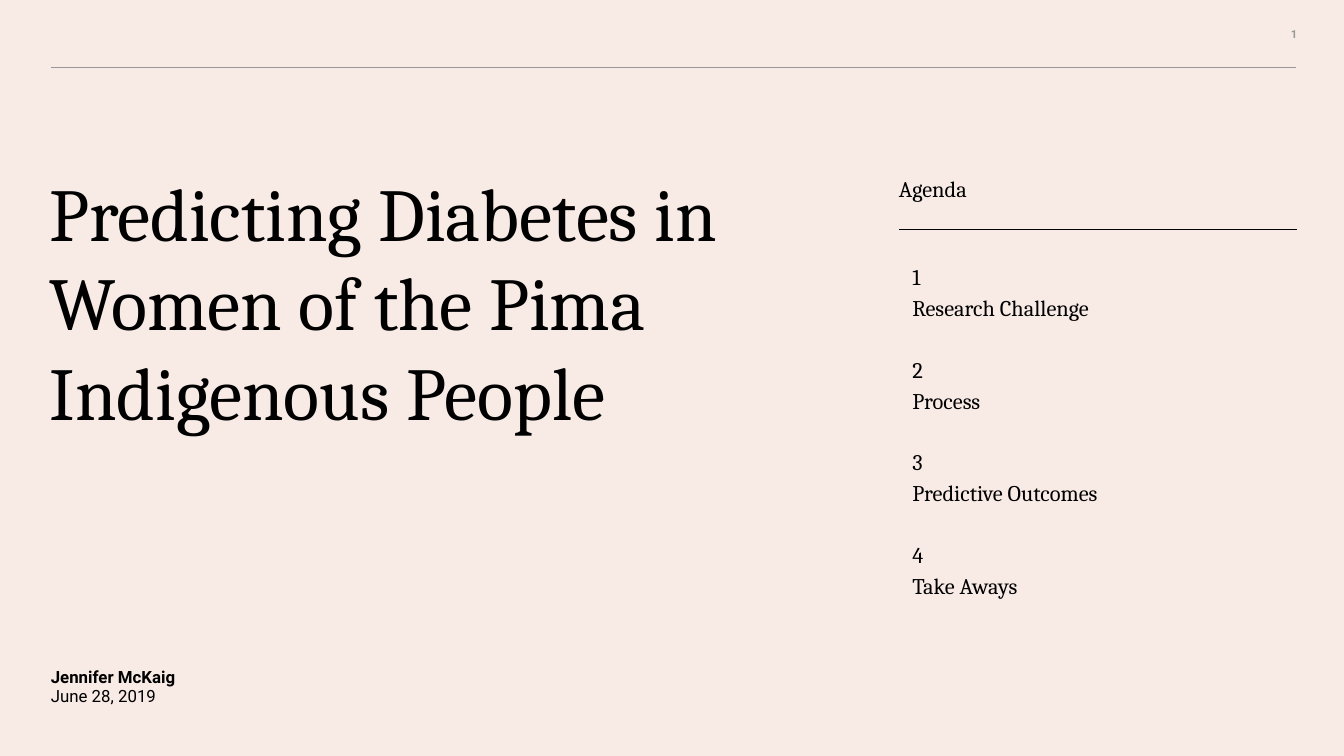
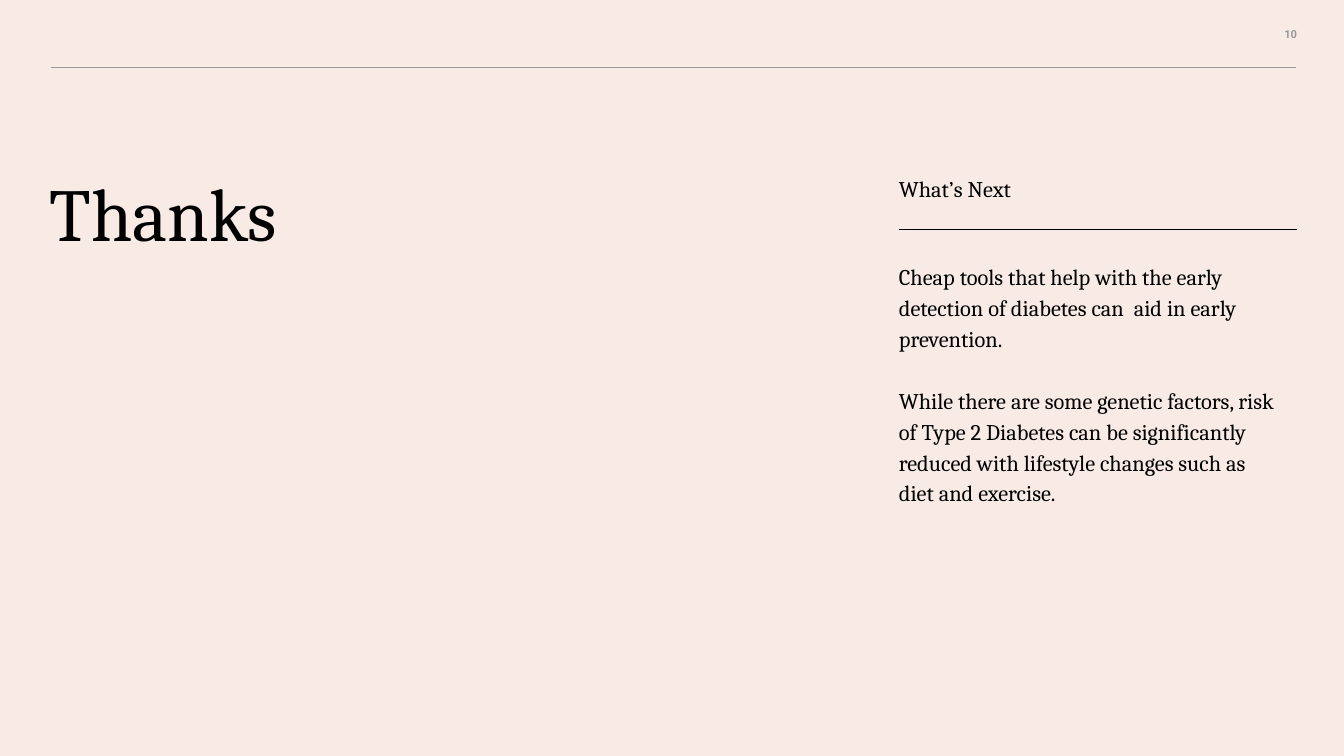
from pptx import Presentation
from pptx.dml.color import RGBColor
from pptx.enum.shapes import MSO_CONNECTOR
from pptx.enum.text import MSO_ANCHOR, PP_ALIGN
from pptx.util import Pt
from lxml.etree import SubElement
from pptx.oxml.ns import qn

PX = 4572
WIDE, HIGH = 2000, 1125
INSET = 20
INK = {"page": "F8EBE6", "text": "000000", "mute": "999999"}
SERIF, SANS = "Cambria", "Roboto"
HEAD = (0, 0, WIDE, 100)
SIDE = (1318, 240, 612, 824)
SIGN = (56, 974, 444, 96)


def color(name):
    return RGBColor.from_string(INK[name])


def write(slide, box, lines, size, font=SERIF, ink="text", bold=False,
          anchor=MSO_ANCHOR.TOP, align=PP_ALIGN.LEFT, lead=None, gap=0, group=1):
    frame = slide.shapes.add_textbox(*(n * PX for n in box)).text_frame
    frame.word_wrap = True
    frame.vertical_anchor = anchor
    frame.margin_left = frame.margin_right = INSET * PX
    frame.margin_top = frame.margin_bottom = INSET * PX
    frame.text = "\n".join(lines)
    for index, para in enumerate(frame.paragraphs):
        para.alignment = align
        if lead:
            para.line_spacing = lead
        if gap and index and index % group == 0:
            para.space_before = Pt(gap)
        for run in para.runs:
            run.font.size = Pt(size)
            run.font.name = font
            run.font.bold = bold
            run.font.color.rgb = color(ink)


def rule(slide, left, right, top, ink):
    line = slide.shapes.add_connector(
        MSO_CONNECTOR.STRAIGHT, left * PX, top * PX, right * PX, top * PX)
    line.line.color.rgb = color(ink)
    line.line.width = Pt(0.75)
    SubElement(line._element.spPr, qn("a:effectLst"))


def header(slide, box, number):
    left, top, wide, high = box
    write(slide, (left + wide - 170, top, 120, high), [number], 6, SANS,
          "mute", True, MSO_ANCHOR.MIDDLE, PP_ALIGN.RIGHT)
    rule(slide, left + 76, left + wide - 72, top + high, "mute")


def title(slide, box, text):
    write(slide, box, [text], 40)


def panel(slide, box, head, lines, group=1, indent=0):
    left, top, wide, high = box
    write(slide, (left, top, 442, 72), [head], 12)
    rule(slide, left + INSET, left + wide, top + 102, "text")
    write(slide, (left + indent, top + 126, wide - indent, high - 126),
          lines, 12, lead=1.15, gap=16.5, group=group)


def byline(slide, box, name, date):
    left, top, wide, high = box
    write(slide, (left, top, wide, 64), [name], 9, SANS, bold=True,
          anchor=MSO_ANCHOR.BOTTOM)
    write(slide, (left, top + high - 64, wide, 64), [date], 9, SANS)


def page(deck, number):
    slide = deck.slides.add_slide(deck.slide_layouts[6])
    slide.background.fill.solid()
    slide.background.fill.fore_color.rgb = color("page")
    header(slide, HEAD, number)
    return slide


def cover(deck):
    slide = page(deck, "1")
    topics = ["Research Challenge", "Process", "Predictive Outcomes", "Take Aways"]
    lines = [line for count, topic in enumerate(topics, 1)
             for line in (str(count), topic)]
    panel(slide, SIDE, "Agenda", lines, group=2, indent=INSET)
    byline(slide, SIGN, "Jennifer McKaig", "June 28, 2019")
    title(slide, (54, 228, 1172, 620),
          "Predicting Diabetes in Women of the Pima Indigenous People")


def closing(deck):
    slide = page(deck, "10")
    title(slide, (54, 228, 898, 382), "Thanks")
    panel(slide, SIDE, "What’s Next", [
        "Cheap tools that help with the early detection of diabetes can  aid "
        "in early  prevention.",
        "While there are some genetic factors, risk of Type 2 Diabetes can be "
        "significantly reduced with lifestyle changes such as diet and exercise.",
    ])


def main():
    deck = Presentation()
    deck.slide_width, deck.slide_height = WIDE * PX, HIGH * PX
    cover(deck)
    closing(deck)
    deck.save("out.pptx")


if __name__ == "__main__":
    main()
